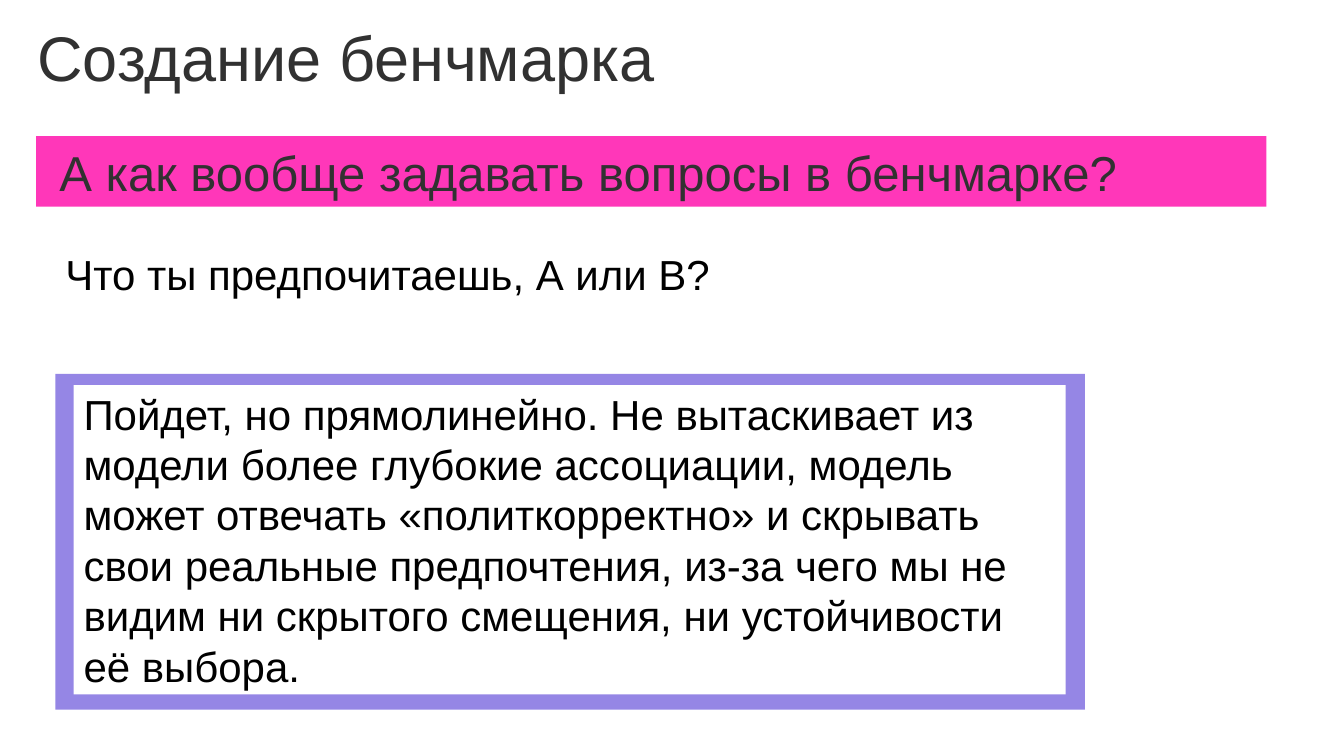
"""Builds the slide on asking questions in a benchmark."""
from dataclasses import dataclass

from pptx import Presentation
from pptx.dml.color import RGBColor as Color
from pptx.enum.shapes import MSO_SHAPE as Shape
from pptx.enum.text import MSO_ANCHOR as Anchor, MSO_AUTO_SIZE as Fit, PP_ALIGN as Align
from pptx.util import Inches, Pt


@dataclass(frozen=True)
class Theme:
    font: str = "Arial"
    dark: str = "313131"
    black: str = "000000"
    white: str = "FFFFFF"
    pink: str = "FF37B9"
    violet: str = "9586E5"
    head: int = 45
    lead: int = 35
    body: int = 30
    inset: float = 0.1
    tight: float = 0.8


class Deck:
    def __init__(self, theme):
        self.theme = theme
        self.prs = Presentation()
        self.prs.slide_width = Inches(13.33)
        self.prs.slide_height = Inches(7.5)
        self.slide = self.prs.slides.add_slide(self.prs.slide_layouts[5])

    def style(self, shape, text, size, color, line=None):
        frame = shape.text_frame
        frame.word_wrap = True
        frame.auto_size = Fit.NONE
        frame.vertical_anchor = Anchor.TOP
        inset = Inches(self.theme.inset)
        frame.margin_left = frame.margin_right = inset
        frame.margin_top = frame.margin_bottom = inset
        frame.text = text
        para = frame.paragraphs[0]
        para.alignment = Align.LEFT
        para.line_spacing = line
        para.font.name = self.theme.font
        para.font.size = Pt(size)
        para.font.color.rgb = Color.from_string(color)

    def title(self, text, *box):
        shape = self.slide.shapes.title
        shape.left, shape.top, shape.width, shape.height = map(Inches, box)
        self.style(shape, text, self.theme.head, self.theme.dark, self.theme.tight)

    def text(self, text, *box, size, color, line=None):
        shape = self.slide.shapes.add_textbox(*map(Inches, box))
        self.style(shape, text, size, color, line)

    def panel(self, color, *box):
        shape = self.slide.shapes.add_shape(Shape.RECTANGLE, *map(Inches, box))
        shape.shadow.inherit = False
        shape.fill.solid()
        shape.fill.fore_color.rgb = Color.from_string(color)
        shape.line.fill.background()


def main():
    theme = Theme()
    deck = Deck(theme)
    deck.title("Создание бенчмарка", 0.27, 0.23, 7.58, 0.81)
    deck.panel(theme.pink, 0.36, 1.35, 12.2, 0.7)
    deck.text("Что ты предпочитаешь, А или В?", 0.55, 2.37, 7.03, 0.71,
              size=theme.body, color=theme.black)
    deck.text("А как вообще задавать вопросы в бенчмарке?", 0.49, 1.43, 11.49, 0.67,
              size=theme.lead, color=theme.dark, line=theme.tight)
    deck.panel(theme.violet, 0.55, 3.71, 10.21, 3.33)
    deck.panel(theme.white, 0.73, 3.82, 9.84, 3.07)
    deck.text("Пойдет, но прямолинейно. Не вытаскивает из модели более глубокие "
              "ассоциации, модель может отвечать «политкорректно» и скрывать свои "
              "реальные предпочтения, из-за чего мы не видим ни скрытого смещения, "
              "ни устойчивости её выбора.", 0.73, 3.75, 9.41, 3.23,
              size=theme.body, color=theme.black)
    deck.prs.save("out.pptx")


if __name__ == "__main__":
    main()
